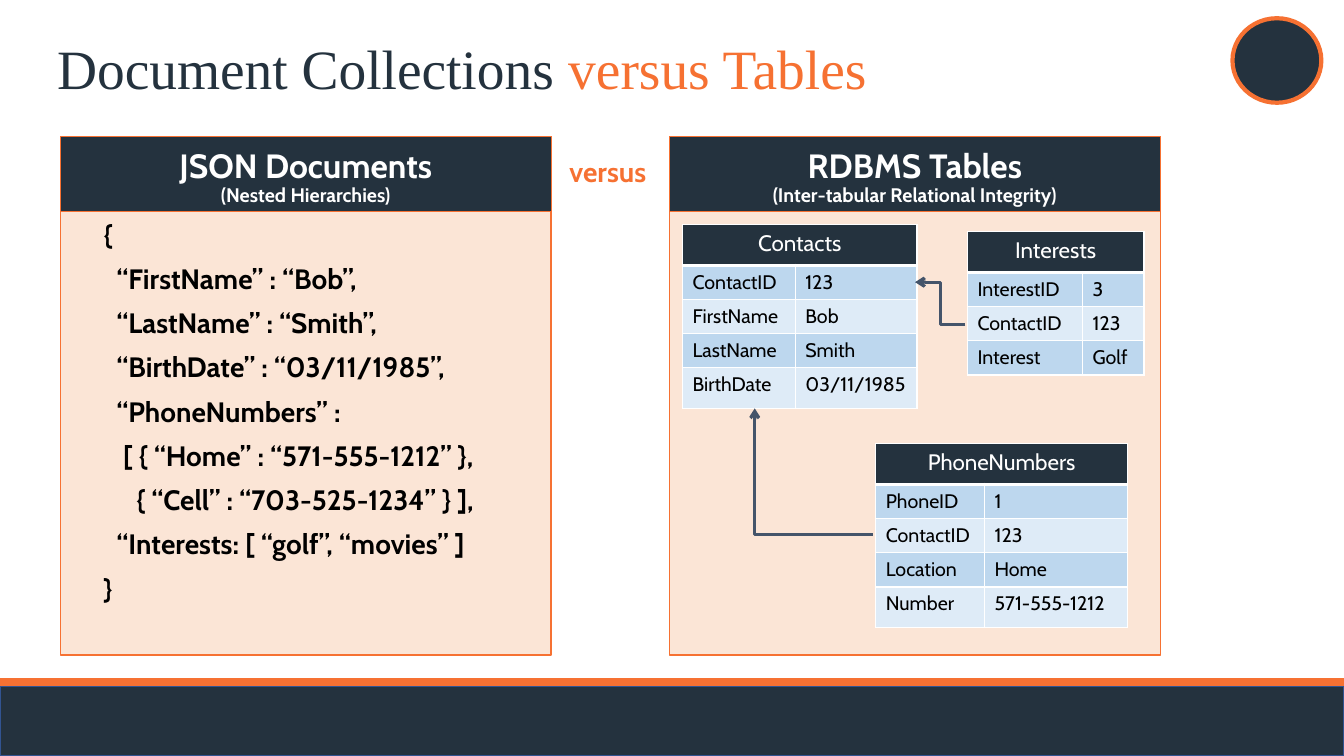
from dataclasses import dataclass

from lxml.etree import SubElement
from pptx import Presentation
from pptx.dml.color import RGBColor
from pptx.enum.shapes import MSO_CONNECTOR as Connector, MSO_SHAPE as Shape
from pptx.enum.text import MSO_ANCHOR as Anchor, PP_ALIGN as Align
from pptx.oxml.ns import qn
from pptx.util import Cm, Pt


@dataclass(frozen=True)
class Theme:
    dark: str = "24323E"
    orange: str = "F67132"
    peach: str = "FBE5D6"
    white: str = "FFFFFF"
    black: str = "000000"
    footer_edge: str = "325491"
    arrow: str = "44546A"
    row_fills: tuple = ("BDD7EE", "DEEBF7")
    body_font: str = "Cabin"
    title_font: str = "Times New Roman"
    title: float = 39.6
    heading: int = 24
    code: int = 20
    table_head: int = 16
    small: int = 14


THEME = Theme()

# Content: lengths in centimetres
WIDTH, HEIGHT = 33.87, 19.05
TITLE = [("Document Collections ", THEME.dark), ("versus Tables", THEME.orange)]
PANEL_TOP, PANEL_WIDTH, PANEL_HEIGHT, HEADER_HEIGHT = 3.45, 12.37, 13.06, 1.88
PANELS = [
    (1.52, "JSON Documents", "(Nested Hierarchies)"),
    (16.87, "RDBMS Tables", "(Inter-tabular Relational Integrity)"),
]
SPACE = 0.165  # indent of one code column
JSON_LINES = [  # (indent in columns, text)
    (0, "{"),
    (2, "“FirstName” : “Bob”,"),
    (2, "“LastName” : “Smith”,"),
    (2, "“BirthDate” : “03/11/1985”,"),
    (2, "“PhoneNumbers” :"),
    (3, "[ { “Home” : “571-555-1212” },"),
    (5, "{ “Cell” : “703-525-1234” } ],"),
    (2, "“Interests: [ “golf”, “movies” ]"),
    (0, "}"),
]
HEAD_ROW, BODY_ROW = 1.03, 0.86
TABLES = [  # name, left, top, column widths, last row height, rows
    ("Contacts", 17.2, 5.66, (2.84, 3.07), HEAD_ROW,
     [("ContactID", "123"), ("FirstName", "Bob"),
      ("LastName", "Smith"), ("BirthDate", "03/11/1985")]),
    ("PhoneNumbers", 22.07, 11.18, (2.74, 3.61), HEAD_ROW,
     [("PhoneID", "1"), ("ContactID", "123"),
      ("Location", "Home"), ("Number", "571-555-1212")]),
    ("Interests", 24.38, 5.84, (2.9, 1.55), BODY_ROW,
     [("InterestID", "3"), ("ContactID", "123"), ("Interest", "Golf")]),
]
KEY_LINKS = [  # preset, left, top, width, height
    ("bentConnector3", 23.06, 7.11, 1.27, 1.07),
    ("bentConnector2", 19.02, 10.29, 2.97, 3.18),
]


def rgb(color):
    return RGBColor.from_string(color)


def add_text(frame, text, *, size, color, font=THEME.body_font, bold=False,
             align=None, spacing=None, before=None, indent=0, new=True):
    """Write one run, in a new paragraph unless new is False."""
    paragraph = frame.paragraphs[-1]
    if new and paragraph.runs:
        paragraph = frame.add_paragraph()
    if align is not None:
        paragraph.alignment = align
    if spacing:
        paragraph.line_spacing = spacing
    if before:
        paragraph.space_before = Pt(before)
    if indent:
        paragraph._p.get_or_add_pPr().set("marL", str(Cm(indent)))
    run = paragraph.add_run()
    run.text = text
    run.font.name, run.font.size, run.font.bold = font, Pt(size), bold
    run.font.color.rgb = rgb(color)


def add_box(slide, preset, box, fill, line=None, line_width=1):
    shape = slide.shapes.add_shape(preset, *map(Cm, box))
    shape.shadow.inherit = False
    shape.fill.solid()
    shape.fill.fore_color.rgb = rgb(fill)
    if line:
        shape.line.color.rgb = rgb(line)
        shape.line.width = Pt(line_width)
    else:
        shape.line.fill.background()
    return shape


def add_text_box(slide, box, wrap=True):
    frame = slide.shapes.add_textbox(*map(Cm, box)).text_frame
    frame.word_wrap = wrap
    return frame


def paint_cell(cell, fill, bottom=1):
    properties = cell._tc.get_or_add_tcPr()
    for side, width in (("L", 1), ("R", 1), ("T", 1), ("B", bottom)):
        edge = SubElement(properties, qn(f"a:ln{side}"), w=str(Pt(width)))
        solid = SubElement(edge, qn("a:solidFill"))
        SubElement(solid, qn("a:srgbClr"), val=THEME.white)
    cell.fill.solid()
    cell.fill.fore_color.rgb = rgb(fill)


def add_data_table(slide, name, left, top, widths, last_height, rows):
    heights = [HEAD_ROW] + [BODY_ROW] * (len(rows) - 1) + [last_height]
    table = slide.shapes.add_table(
        len(heights), len(widths), Cm(left), Cm(top),
        Cm(sum(widths)), Cm(sum(heights))).table
    for column, width in zip(table.columns, widths):
        column.width = Cm(width)
    for row, height in zip(table.rows, heights):
        row.height = Cm(height)
    for cell in table.rows[0].cells:
        paint_cell(cell, THEME.dark, bottom=3)
    head = table.cell(0, 0)
    head.merge(table.cell(0, len(widths) - 1))
    add_text(head.text_frame, name, size=THEME.table_head,
             color=THEME.white, align=Align.CENTER)
    for index, values in enumerate(rows):
        for cell, value in zip(table.rows[index + 1].cells, values):
            paint_cell(cell, THEME.row_fills[index % 2])
            add_text(cell.text_frame, value, size=THEME.small, color=THEME.black)


def add_key_link(slide, preset, left, top, width, height):
    """Elbow arrow from bottom right to top left, by a half turn."""
    connector = slide.shapes.add_connector(
        Connector.ELBOW, Cm(left), Cm(top), Cm(left + width), Cm(top + height))
    connector.line.color.rgb = rgb(THEME.arrow)
    connector.line.width = Pt(2.25)
    properties = connector._element.spPr
    properties.find(qn("a:xfrm")).set("rot", str(180 * 60000))
    properties.find(qn("a:prstGeom")).set("prst", preset)
    SubElement(properties.find(qn("a:ln")), qn("a:tailEnd"), type="arrow")
    SubElement(properties, qn("a:effectLst"))


def main():
    presentation = Presentation()
    presentation.slide_width, presentation.slide_height = Cm(WIDTH), Cm(HEIGHT)
    slide = presentation.slides.add_slide(presentation.slide_layouts[6])

    # Footer and corner circle
    add_box(slide, Shape.RECTANGLE, (0, 17.09, WIDTH, 0.71), THEME.orange)
    add_box(slide, Shape.RECTANGLE, (0, 17.3, WIDTH, 1.75), THEME.dark,
            THEME.footer_edge)
    add_box(slide, Shape.OVAL, (31.06, 0.46, 2.24, 2.13), THEME.dark,
            THEME.orange, 3)

    # Title
    frame = add_text_box(slide, (1.19, 1.02, 28.52, 1.57))
    frame.vertical_anchor = Anchor.MIDDLE
    for text, color in TITLE:
        add_text(frame, text, size=THEME.title, color=color,
                 font=THEME.title_font, spacing=0.9, new=False)

    # Panels with headers
    for left, heading, subheading in PANELS:
        add_box(slide, Shape.RECTANGLE,
                (left, PANEL_TOP, PANEL_WIDTH, PANEL_HEIGHT),
                THEME.peach, THEME.orange)
        header = add_box(slide, Shape.RECTANGLE,
                         (left, PANEL_TOP, PANEL_WIDTH, HEADER_HEIGHT),
                         THEME.dark, THEME.orange, 0.75)
        header.text_frame.word_wrap = True
        header.text_frame.vertical_anchor = Anchor.BOTTOM
        for text, size in ((heading, THEME.heading), (subheading, THEME.small)):
            add_text(header.text_frame, text, size=size, color=THEME.white,
                     bold=True, align=Align.CENTER, spacing=0.9)

    # JSON document
    frame = add_text_box(slide, (2.36, 5.44, 11.38, 10.92))
    for columns, text in JSON_LINES:
        add_text(frame, text, size=THEME.code, color=THEME.black, bold=True,
                 spacing=0.9, before=10, indent=columns * SPACE)

    # Tables and their key links
    for table in TABLES:
        add_data_table(slide, *table)
    for link in KEY_LINKS:
        add_key_link(slide, *link)

    # Word between the panels
    add_text(add_text_box(slide, (14.1, 3.76, 2.62, 1.12), wrap=False), "versus",
             size=THEME.code, color=THEME.orange, bold=True)

    presentation.save("out.pptx")


if __name__ == "__main__":
    main()
